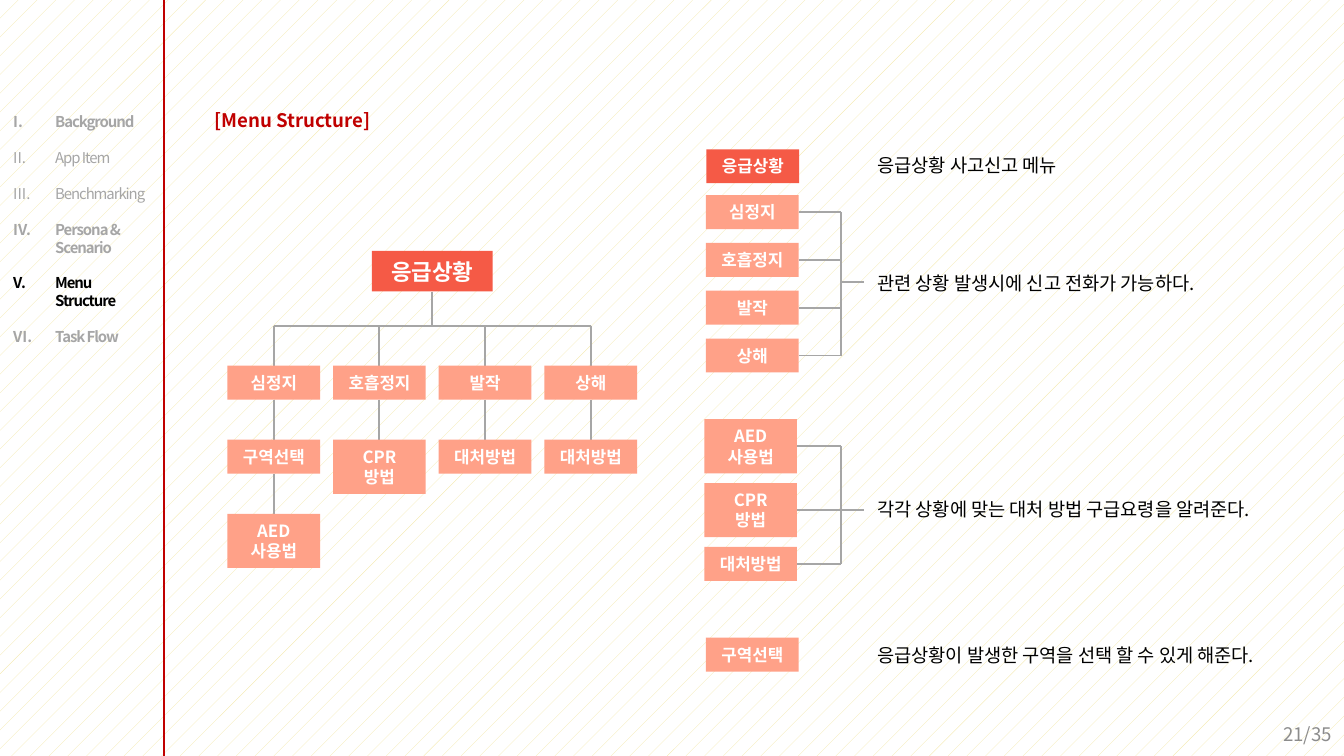
"""Builds the menu structure slide of an emergency app deck."""
from dataclasses import dataclass

from lxml.etree import SubElement
from pptx import Presentation
from pptx.dml.color import RGBColor
from pptx.enum.dml import MSO_PATTERN
from pptx.enum.shapes import MSO_CONNECTOR, MSO_SHAPE
from pptx.enum.text import MSO_ANCHOR, PP_ALIGN
from pptx.oxml.ns import qn
from pptx.slide import Slide
from pptx.text.text import TextFrame, _Paragraph
from pptx.util import Pt


@dataclass(frozen=True)
class Theme:
    font: str = "Noto Sans CJK KR"
    accent: str = "C00000"
    root: str = "F55A46"
    node: str = "FFA188"
    muted: str = "A6A6A6"
    page: str = "8C8C8C"
    ink: str = "000000"
    paper: str = "FFFFFF"
    stripe: str = "F3E7A6"
    nav_size: float = 8
    node_size: float = 9
    body_size: float = 10
    root_size: float = 12


@dataclass(frozen=True)
class Node:
    label: str
    left: float
    top: float
    width: float = 49.7
    fill: str = Theme.node
    size: float = Theme.node_size
    one_line: float = 18.2

    @property
    def height(self) -> float:
        return 29 if "\n" in self.label else self.one_line

    @property
    def center(self) -> float:
        return self.left + self.width / 2

    @property
    def middle(self) -> float:
        return self.top + self.height / 2

    @property
    def bottom(self) -> float:
        return self.top + self.height


@dataclass(frozen=True)
class Note:
    text: str
    left: float
    top: float
    width: float
    height: float = 19.4
    color: str = Theme.ink
    bold: bool = False
    align: PP_ALIGN = PP_ALIGN.LEFT


@dataclass(frozen=True)
class Chapter:
    title: str
    bold: bool = True
    color: str = Theme.muted


THEME = Theme()
AED, CPR, RESPONSE, ZONE = "AED\n사용법", "CPR\n방법", "대처방법", "구역선택"
BRANCHES = [
    ("심정지", ZONE, AED),
    ("호흡정지", CPR),
    ("발작", RESPONSE),
    ("상해", RESPONSE),
]
CHAPTERS = [
    Chapter("Background"),
    Chapter("App Item", bold=False),
    Chapter("Benchmarking", bold=False),
    Chapter("Persona & Scenario"),
    Chapter("Menu Structure", color=THEME.ink),
    Chapter("Task Flow"),
]
NOTES = [
    Note("[Menu Structure]", 108, 54.9, 227, color=THEME.accent, bold=True),
    Note("응급상황 사고신고 메뉴", 463, 78.5, 148),
    Note("관련 상황 발생시에 신고 전화가 가능하다.", 463, 142, 210),
    Note("각각 상황에 맞는 대처 방법 구급요령을 알려준다.", 463, 263, 235),
    Note("응급상황이 발생한 구역을 선택 할 수 있게 해준다.", 463, 341.3, 240),
    Note("21/35", 553, 382.4, 167.5, 21.6, THEME.page, align=PP_ALIGN.RIGHT),
]


def style(paragraph: _Paragraph, size: float, color: str, bold: bool) -> None:
    for run in paragraph.runs:
        run.font.size = Pt(size)
        run.font.bold = bold
        run.font.color.rgb = RGBColor.from_string(color)
        run.font.name = THEME.font
        SubElement(run.font._element, qn("a:ea"), typeface=THEME.font)


def write(frame: TextFrame, text: str, size: float, color: str, bold: bool, align: PP_ALIGN) -> None:
    frame.text = text
    for paragraph in frame.paragraphs:
        paragraph.alignment = align
        style(paragraph, size, color, bold)


def draw_line(slide: Slide, x1: float, y1: float, x2: float, y2: float, color: str = THEME.muted) -> None:
    line = slide.shapes.add_connector(MSO_CONNECTOR.STRAIGHT, Pt(x1), Pt(y1), Pt(x2), Pt(y2))
    line.line.color.rgb = RGBColor.from_string(color)
    line.line.width = Pt(1)
    SubElement(line._element.spPr, qn("a:effectLst"))


def draw_node(slide: Slide, node: Node) -> None:
    box = slide.shapes.add_shape(
        MSO_SHAPE.RECTANGLE, Pt(node.left), Pt(node.top), Pt(node.width), Pt(node.height)
    )
    box.shadow.inherit = False
    box.fill.solid()
    box.fill.fore_color.rgb = RGBColor.from_string(node.fill)
    box.line.fill.background()
    frame = box.text_frame
    frame.margin_left = frame.margin_right = Pt(0)
    frame.vertical_anchor = MSO_ANCHOR.MIDDLE
    write(frame, node.label, node.size, THEME.paper, True, PP_ALIGN.CENTER)


def draw_note(slide: Slide, note: Note) -> None:
    box = slide.shapes.add_textbox(Pt(note.left), Pt(note.top), Pt(note.width), Pt(note.height))
    frame = box.text_frame
    frame.word_wrap = True
    frame.vertical_anchor = MSO_ANCHOR.MIDDLE
    write(frame, note.text, THEME.body_size, note.color, note.bold, note.align)


def draw_navigation(slide: Slide, chapters: list[Chapter]) -> None:
    draw_line(slide, 87.8, 0, 87.8, 405, THEME.accent)
    frame = slide.shapes.add_textbox(Pt(0), Pt(56.9), Pt(90), Pt(225)).text_frame
    frame.word_wrap = True
    frame.text = "\n".join(chapter.title for chapter in chapters)
    for paragraph, chapter in zip(frame.paragraphs, chapters):
        paragraph.space_after = Pt(9.6)
        style(paragraph, THEME.nav_size, chapter.color, chapter.bold)
        for run in paragraph.runs:
            run.font._element.set("spc", "-60")
        properties = paragraph._p.get_or_add_pPr()
        properties.set("marL", str(Pt(22.5)))
        properties.set("indent", str(-Pt(22.5)))
        SubElement(properties, qn("a:buAutoNum"), type="romanUcPeriod")


def draw_tree(slide: Slide) -> None:
    root = Node("응급상황", 199.2, 134.4, 64.8, THEME.root, THEME.root_size, 21.8)
    columns = [
        [Node(label, 121.8 + 56.6 * column, 195.9 + 39.7 * row) for row, label in enumerate(labels)]
        for column, labels in enumerate(BRANCHES)
    ]
    rail = 174.5
    draw_line(slide, root.center, root.bottom, root.center, rail)
    draw_line(slide, columns[0][0].center, rail, columns[-1][0].center, rail)
    for column in columns:
        starts = [rail] + [node.bottom for node in column]
        for start, node in zip(starts, column):
            draw_line(slide, node.center, start, node.center, node.top)
            draw_node(slide, node)
    draw_node(slide, root)


def draw_bracket(slide: Slide, nodes: list[Node], stub: float) -> None:
    trunk = 450.6
    for node in nodes:
        draw_line(slide, node.left + node.width, node.middle, trunk, node.middle)
        draw_node(slide, node)
    draw_line(slide, trunk, nodes[0].middle, trunk, nodes[-1].middle)
    draw_line(slide, trunk, stub, 463, stub)


def draw_legend(slide: Slide) -> None:
    situations = [Node(labels[0], 378.2, 104.6 + 25.6 * row) for row, labels in enumerate(BRANCHES)]
    guides = [Node(label, 377.3, 224.6 + 34.2 * row) for row, label in enumerate([AED, CPR, RESPONSE])]
    draw_node(slide, Node("응급상황", 378.4, 80, fill=THEME.root))
    draw_bracket(slide, situations, 151)
    draw_bracket(slide, guides, guides[1].middle)
    draw_node(slide, Node(ZONE, 378.2, 341.6))


def main() -> None:
    deck = Presentation()
    deck.slide_width, deck.slide_height = Pt(720), Pt(405)
    slide = deck.slides.add_slide(deck.slide_layouts[6])
    backdrop = slide.background.fill
    backdrop.patterned()
    backdrop.pattern = MSO_PATTERN.PERCENT_5
    backdrop.fore_color.rgb = RGBColor.from_string(THEME.stripe)
    backdrop.back_color.rgb = RGBColor.from_string(THEME.paper)
    draw_navigation(slide, CHAPTERS)
    draw_tree(slide)
    draw_legend(slide)
    for note in NOTES:
        draw_note(slide, note)
    deck.save("out.pptx")


if __name__ == "__main__":
    main()
